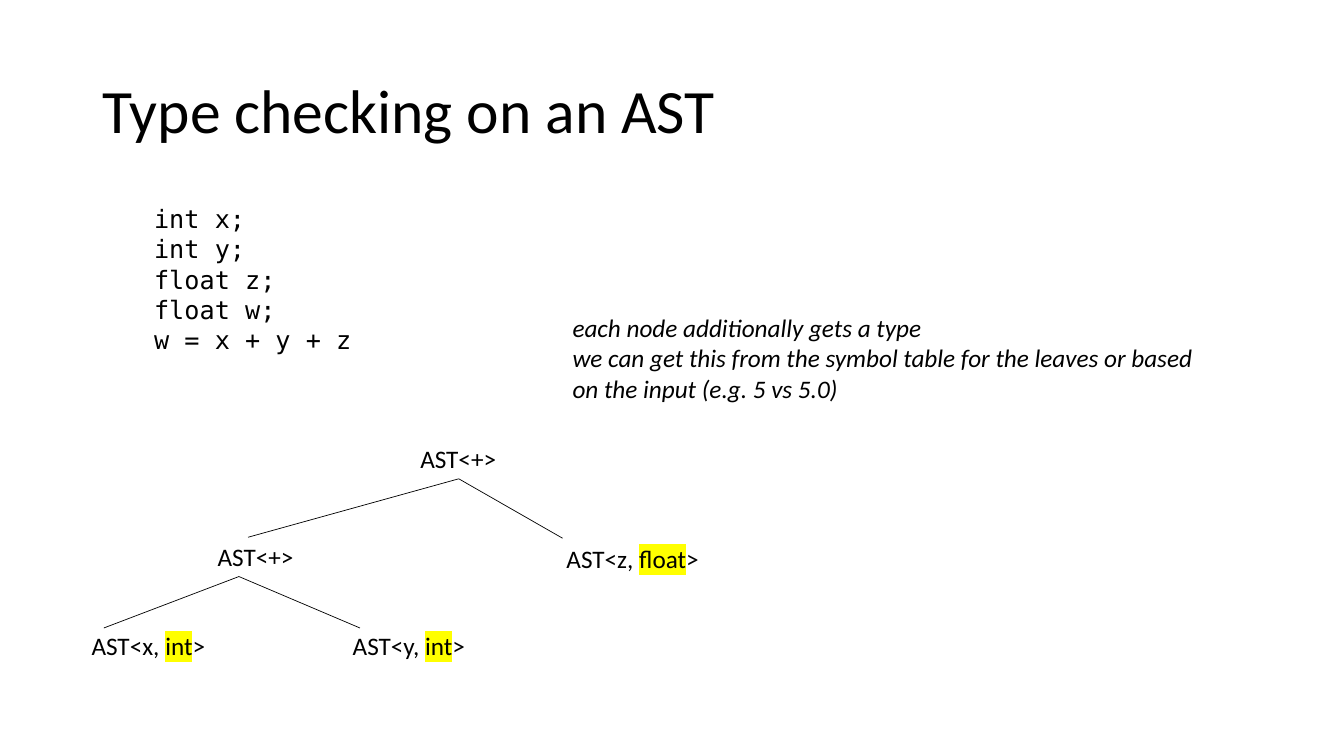
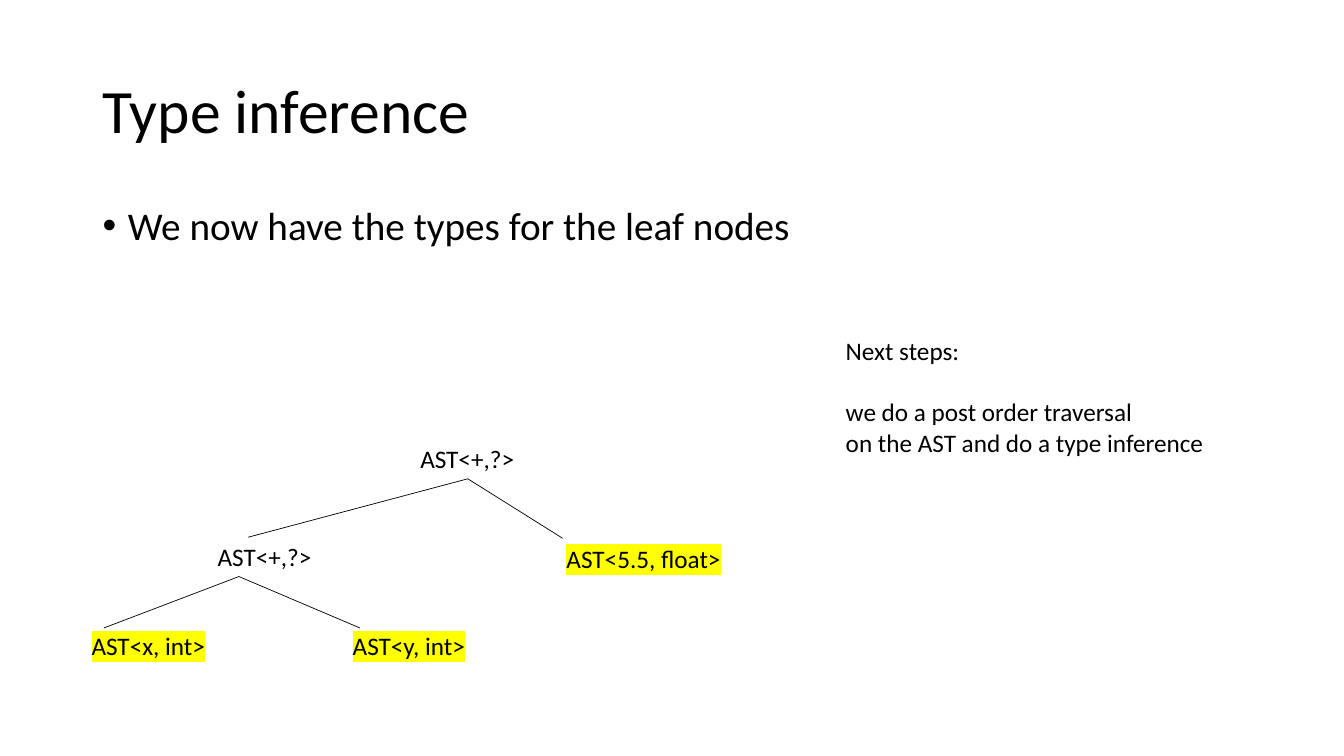
"""Build two slides on type checking and type inference over an AST."""
from dataclasses import dataclass
from typing import NamedTuple

from lxml.etree import SubElement
from pptx import Presentation
from pptx.dml.color import RGBColor
from pptx.enum.shapes import MSO_CONNECTOR
from pptx.enum.text import MSO_ANCHOR, MSO_AUTO_SIZE
from pptx.oxml.ns import qn
from pptx.slide import Slide
from pptx.util import Inches, Pt


@dataclass(frozen=True)
class Theme:
    ink: str = "000000"
    highlight: str = "FFFF00"
    body_font: str = "Calibri"
    code_font: str = "DejaVu Sans Mono"
    title_size: int = 44
    bullet_size: int = 28
    text_size: int = 18
    edge_width: float = 0.5
    tight_spacing: float = 0.9
    blank_line: int = 22


class Box(NamedTuple):
    left: float
    top: float
    width: float
    height: float


class Point(NamedTuple):
    x: float
    y: float


class Node(NamedTuple):
    label: str
    box: Box


class Edge(NamedTuple):
    parent: Point
    child: Point


THEME = Theme()
TITLE_BOX = Box(0.92, 0.4, 11.5, 1.45)
BULLET_BOX = Box(0.92, 2, 11.5, 0.96)
NODE_HEIGHT = 0.4


def add_highlight(run) -> None:
    properties = run._r.get_or_add_rPr()
    highlight = properties.makeelement(qn("a:highlight"), {})
    SubElement(highlight, qn("a:srgbClr"), val=THEME.highlight)
    properties.find(qn("a:latin")).addprevious(highlight)


def add_bullet(paragraph) -> None:
    properties = paragraph._p.get_or_add_pPr()
    properties.set("marL", str(Inches(0.25)))
    properties.set("indent", str(Inches(-0.25)))
    SubElement(properties, qn("a:buFont"), typeface="Arial")
    SubElement(properties, qn("a:buChar"), char="•")


def add_text(slide: Slide, box: Box, *lines: str, size: int = THEME.text_size,
             font: str = THEME.body_font, italic: bool = False,
             wrap: bool = False, anchor: MSO_ANCHOR = MSO_ANCHOR.TOP,
             spacing: float | None = None, bullet: bool = False,
             gap_before: int | None = None) -> None:
    """Write one paragraph per line, highlighting the parts between bars."""
    frame = slide.shapes.add_textbox(*map(Inches, box)).text_frame
    frame.word_wrap = wrap
    frame.auto_size = MSO_AUTO_SIZE.NONE if wrap else MSO_AUTO_SIZE.SHAPE_TO_FIT_TEXT
    frame.vertical_anchor = anchor
    for index, line in enumerate(lines):
        paragraph = frame.add_paragraph() if index else frame.paragraphs[0]
        if spacing:
            paragraph.line_spacing = spacing
        if index and index == gap_before:
            paragraph.space_before = Pt(THEME.blank_line)
        if bullet:
            add_bullet(paragraph)
        for position, part in enumerate(line.split("|")):
            if not part:
                continue
            run = paragraph.add_run()
            run.text = part
            run.font.size = Pt(size)
            run.font.name = font
            run.font.italic = italic
            run.font.color.rgb = RGBColor.from_string(THEME.ink)
            if position % 2:
                add_highlight(run)


def add_edge(slide: Slide, edge: Edge) -> None:
    line = slide.shapes.add_connector(
        MSO_CONNECTOR.STRAIGHT, *map(Inches, (*edge.parent, *edge.child)))
    line.line.color.rgb = RGBColor.from_string(THEME.ink)
    line.line.width = Pt(THEME.edge_width)
    SubElement(line._element.spPr, qn("a:effectLst"))


def add_tree(slide: Slide, operator: str, operator_width: float,
             x_leaf: str, y_leaf: str, z_leaf: str, z_width: float) -> None:
    """Draw the tree of (x + y) + z with the given node labels."""
    root = Point(4.07 + operator_width / 2, 4.75)
    inner = Point(2.37, 5.72)
    nodes = (
        Node(x_leaf, Box(0.81, 6.2, 1.34, NODE_HEIGHT)),
        Node(operator, Box(2.06, 5.32, operator_width, NODE_HEIGHT)),
        Node(y_leaf, Box(3.4, 6.2, 1.33, NODE_HEIGHT)),
        Node(operator, Box(4.07, 4.35, operator_width, NODE_HEIGHT)),
        Node(z_leaf, Box(5.52, 5.34, z_width, NODE_HEIGHT)),
    )
    edges = (
        Edge(inner, Point(1.03, 6.23)),
        Edge(inner, Point(3.57, 6.23)),
        Edge(root, Point(2.46, 5.33)),
        Edge(root, Point(5.58, 5.34)),
    )
    for node in nodes:
        add_text(slide, node.box, node.label)
    for edge in edges:
        add_edge(slide, edge)


def add_titled_slide(deck, title: str) -> Slide:
    slide = deck.slides.add_slide(deck.slide_layouts[6])
    add_text(slide, TITLE_BOX, title, size=THEME.title_size, wrap=True,
             anchor=MSO_ANCHOR.MIDDLE, spacing=THEME.tight_spacing)
    return slide


def build_checking(deck) -> None:
    slide = add_titled_slide(deck, "Type checking on an AST")
    add_tree(slide, "AST<+>", 0.96, "AST<x, |int|>", "AST<y, |int|>",
             "AST<z, |float|>", 1.53)
    add_text(slide, Box(5.58, 3.05, 6.42, 1.01),
             "each node additionally gets a type",
             "we can get this from the symbol table for the leaves or based",
             "on the input (e.g. 5 vs 5.0)", italic=True)
    add_text(slide, Box(1.43, 1.97, 2.16, 1.62),
             "int x;", "int y;", "float z;", "float w;", "w = x + y + z",
             font=THEME.code_font)


def build_inference(deck) -> None:
    slide = add_titled_slide(deck, "Type inference")
    add_text(slide, BULLET_BOX, "We now have the types for the leaf nodes",
             size=THEME.bullet_size, wrap=True, bullet=True,
             spacing=THEME.tight_spacing)
    add_tree(slide, "AST<+,?>", 1.14, "|AST<x, int>|", "|AST<y, int>|",
             "|AST<5.5, float>|", 1.75)
    add_text(slide, Box(8.29, 3.28, 3.8, 1.31), "Next steps:",
             "we do a post order traversal",
             "on the AST and do a type inference", gap_before=1)


def main() -> None:
    deck = Presentation()
    deck.slide_width, deck.slide_height = Inches(13.33), Inches(7.5)
    build_checking(deck)
    build_inference(deck)
    deck.save("out.pptx")


if __name__ == "__main__":
    main()
